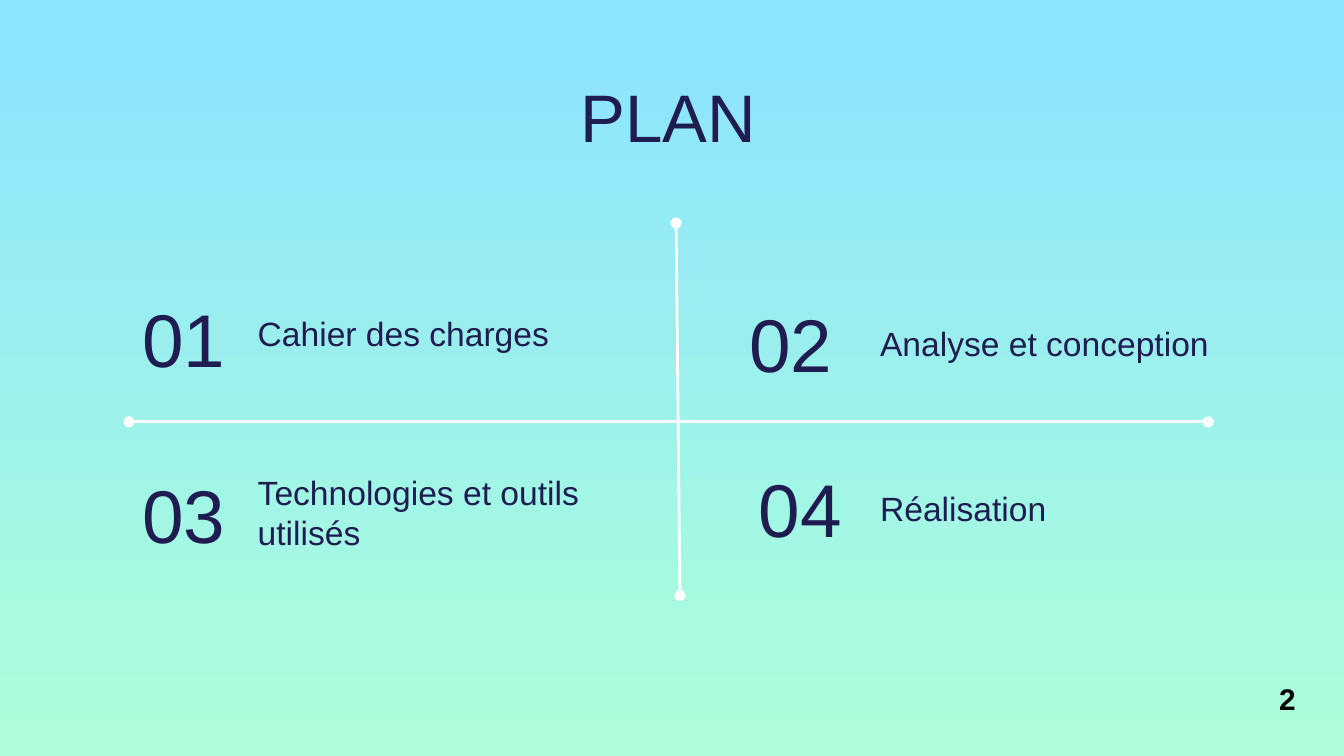
import pptx
import pptx.dml.color
import pptx.enum.shapes
import pptx.enum.text
import pptx.oxml.ns
import pptx.util
from lxml import etree

Pt = pptx.util.Pt
RGBColor = pptx.dml.color.RGBColor
Align = pptx.enum.text.PP_ALIGN
Anchor = pptx.enum.text.MSO_ANCHOR
qn = pptx.oxml.ns.qn

SKY = RGBColor(0x8B, 0xE3, 0xFF)
MINT = RGBColor(0xAC, 0xFF, 0xD9)
NAVY = RGBColor(0x1F, 0x1C, 0x51)
WHITE = RGBColor(0xFF, 0xFF, 0xFF)
BLACK = RGBColor(0x00, 0x00, 0x00)

deck = pptx.Presentation()
deck.slide_width = Pt(720)
deck.slide_height = Pt(405)
slide = deck.slides.add_slide(deck.slide_layouts[6])

backdrop = slide.background.fill
backdrop.gradient()
backdrop.gradient_angle = 270
for stop, color in zip(backdrop.gradient_stops, (SKY, MINT)):
    stop.color.rgb = color


def add_text(text, box, size, anchor, align=Align.LEFT, color=NAVY, bold=False,
             insets=(7.2, 7.2)):
    """Place one line of text; box is left, top, width, height and insets are x, y."""
    textbox = slide.shapes.add_textbox(*(Pt(length) for length in box))
    frame = textbox.text_frame
    frame.word_wrap = True
    frame.vertical_anchor = anchor
    frame.margin_left = frame.margin_right = Pt(insets[0])
    frame.margin_top = frame.margin_bottom = Pt(insets[1])
    paragraph = frame.paragraphs[0]
    paragraph.alignment = align
    run = paragraph.add_run()
    run.text = text
    run.font.name = "Arial"
    run.font.size = Pt(size)
    run.font.bold = bold
    run.font.color.rgb = color


# Axes of the cross, with a dot at each end
for ends in ((362.2, 119.5, 364.3, 319), (69.1, 226, 647.3, 226)):
    axis = slide.shapes.add_connector(
        pptx.enum.shapes.MSO_CONNECTOR.STRAIGHT, *(Pt(length) for length in ends))
    axis.line.color.rgb = WHITE
    axis.line.width = Pt(1.5)
    outline = axis.line._get_or_add_ln()
    for end in ("a:headEnd", "a:tailEnd"):
        etree.SubElement(outline, qn(end), type="oval")
    etree.SubElement(axis._element.spPr, qn("a:effectLst"))

add_text("PLAN", (250.6, 61.9, 214.6, 28.8), 36, Anchor.BOTTOM, Align.CENTER)

# Number, its left, top and alignment; topic, its left, top and height
sections = [
    ("01", 69.1, 149.8, Align.LEFT, "Cahier des charges", 131, 142.6, 54),
    ("02", 359.3, 152.6, Align.RIGHT, "Analyse et conception", 464.4, 165.6, 36),
    ("03", 69.1, 244.1, Align.LEFT, "Technologies et outils utilisés", 131, 267.1, 36),
    ("04", 364.3, 241.2, Align.RIGHT, "Réalisation", 464.4, 254.2, 36),
]
for number, number_left, number_top, align, topic, left, top, height in sections:
    add_text(number, (number_left, number_top, 93.6, 61.9), 40, Anchor.MIDDLE, align)
    add_text(topic, (left, top, 214.6, height), 18, Anchor.BOTTOM)

add_text("2", (678.2, 361.4, 23.8, 26.6), 16, Anchor.TOP, color=BLACK, bold=True,
         insets=(7.2, 3.6))

deck.save("out.pptx")
